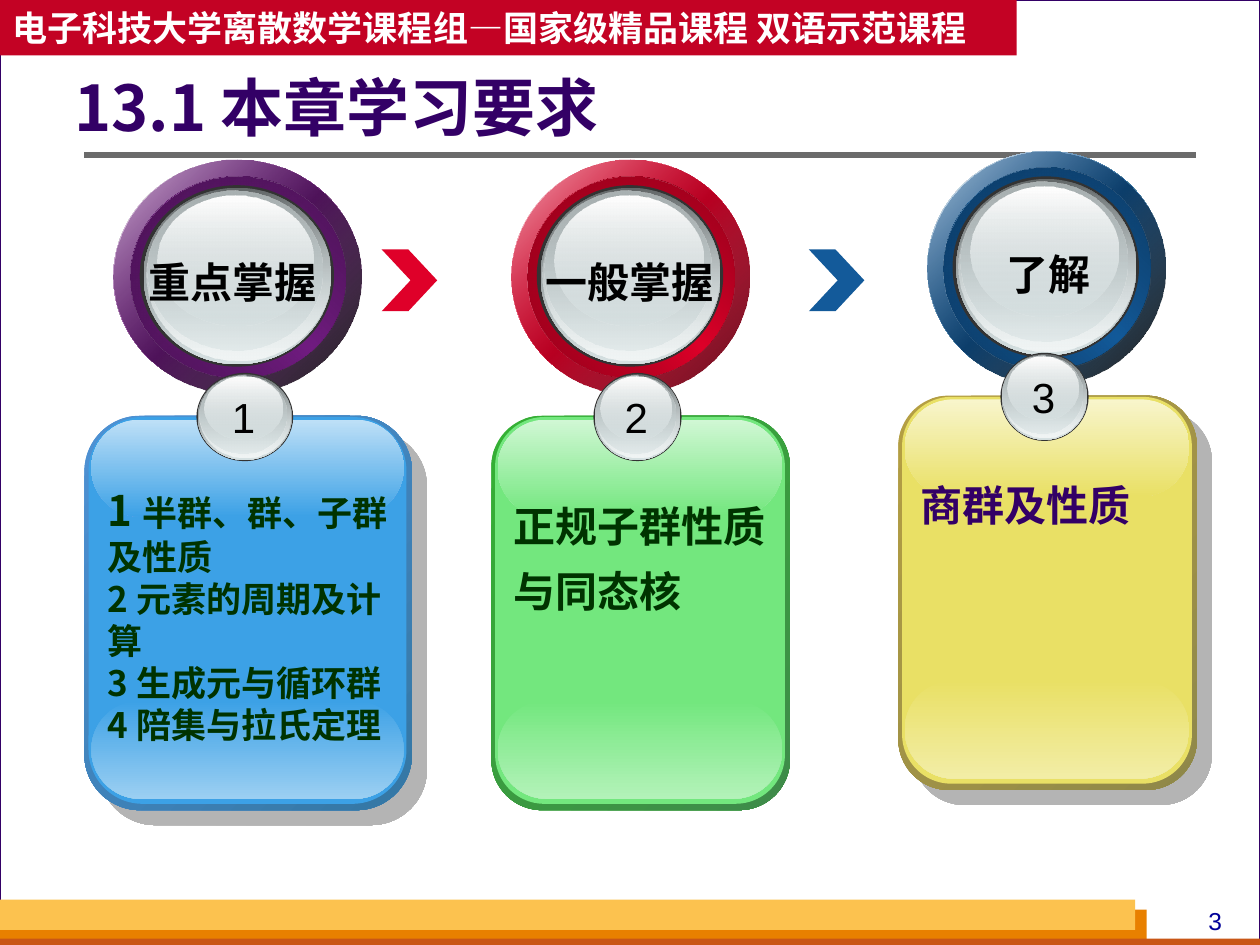
"""Build the chapter requirements slide: three glossy rings above three numbered panels."""
from lxml import etree
from pptx import Presentation
from pptx.dml.color import RGBColor
from pptx.enum.shapes import MSO_CONNECTOR, MSO_SHAPE
from pptx.enum.text import MSO_ANCHOR, MSO_AUTO_SIZE, PP_ALIGN
from pptx.oxml.ns import qn
from pptx.util import Inches, Pt

RECT, ROUND, OVAL = MSO_SHAPE.RECTANGLE, MSO_SHAPE.ROUNDED_RECTANGLE, MSO_SHAPE.OVAL
CHEVRON, STRAIGHT = MSO_SHAPE.CHEVRON, MSO_CONNECTOR.STRAIGHT
LEFT, CENTER, MIDDLE = PP_ALIGN.LEFT, PP_ALIGN.CENTER, MSO_ANCHOR.MIDDLE
NO_AUTOSIZE = MSO_AUTO_SIZE.NONE
ARIAL, NOTO = "Arial", "Noto Sans CJK SC"

WHITE, BLACK = RGBColor(0xFF, 0xFF, 0xFF), RGBColor(0, 0, 0)
BACKDROP, GRAY = RGBColor(0xD8, 0xDA, 0xDA), RGBColor(0x6B, 0x6B, 0x6B)
INDIGO, NAVY = RGBColor(0x33, 0x00, 0x66), RGBColor(0x00, 0x00, 0x99)
FOREST, CRIMSON = RGBColor(0x00, 0x33, 0x00), RGBColor(0xC3, 0x02, 0x24)
ORANGE, RUST = RGBColor(0xE8, 0x80, 0x00), RGBColor(0xC9, 0x56, 0x16)
AMBER, CHARCOAL = RGBColor(0xFC, 0xC2, 0x4F), RGBColor(0x33, 0x33, 0x33)
STEEL, SILVER = RGBColor(0x63, 0x68, 0x69), RGBColor(0xD6, 0xE1, 0xE2)
PEARL, ASH = RGBColor(0xF1, 0xF5, 0xF5), RGBColor(0xAA, 0xB2, 0xB3)
PURPLE, PURPLE_EDGE = RGBColor(0x71, 0x1C, 0x81), RGBColor(0x3D, 0x0F, 0x46)
PURPLE_DEEP, MAROON = RGBColor(0x48, 0x12, 0x52), RGBColor(0x67, 0x00, 0x13)
RED, RED_EDGE = RGBColor(0xDF, 0x00, 0x29), RGBColor(0x79, 0x00, 0x16)
RED_DEEP, BLUE = RGBColor(0x8E, 0x00, 0x1A), RGBColor(0x13, 0x5A, 0x9A)
BLUE_EDGE, BLUE_DEEP = RGBColor(0x0A, 0x31, 0x53), RGBColor(0x0C, 0x39, 0x62)
SKY, SKY_LOW = RGBColor(0x3C, 0xA1, 0xE6), RGBColor(0x9B, 0xCF, 0xF2)
SKY_TOP, SKY_RIM = RGBColor(0xBE, 0xE0, 0xF7), RGBColor(0x4E, 0x91, 0xD4)
SKY_RIM_END, GREEN_RIM_END = RGBColor(0x34, 0x77, 0xA4), RGBColor(0x3F, 0x8B, 0x4A)
GREEN, GREEN_LOW = RGBColor(0x73, 0xE7, 0x7E), RGBColor(0xB3, 0xF2, 0xB9)
GREEN_TOP, GREEN_RIM = RGBColor(0xD0, 0xF7, 0xD4), RGBColor(0x34, 0xB0, 0x34)
YELLOW, YELLOW_LOW = RGBColor(0xE9, 0xE0, 0x65), RGBColor(0xF2, 0xED, 0xA6)
YELLOW_TOP, YELLOW_RIM = RGBColor(0xF8, 0xF5, 0xCC), RGBColor(0xB5, 0x9F, 0x43)
YELLOW_RIM_END = RGBColor(0x8F, 0x88, 0x49)

GLASS = [
    CHARCOAL,
    (90, [(0, STEEL, 100), (100, SILVER, 100)]),
    (90, [(0, SILVER, 0), (100, PEARL, 100)]),
    (90, [(0, ASH, 100), (100, SILVER, 48)]),
    (90, [(0, WHITE, 100), (100, SILVER, 38)]),
]


def add_layer(shapes, kind, box, fill, adjustment=None):
    layer = shapes.add_shape(kind, *map(Inches, box))
    layer.shadow.inherit = False
    layer.line.fill.background()
    if adjustment is not None:
        layer.adjustments[0] = adjustment
    if isinstance(fill, RGBColor):
        layer.fill.solid()
        layer.fill.fore_color.rgb = fill
        return layer
    angle, stops = fill
    layer.fill.gradient()
    layer.fill.gradient_angle = 360 - angle
    stop_list = layer.element.spPr.find(qn("a:gradFill")).find(qn("a:gsLst"))
    for default_stop in list(stop_list):
        stop_list.remove(default_stop)
    for position, color, opacity in stops:
        stop = etree.SubElement(stop_list, qn("a:gs"), pos=str(position * 1000))
        tone = etree.SubElement(stop, qn("a:srgbClr"), val=str(color))
        if opacity < 100:
            etree.SubElement(tone, qn("a:alpha"), val=str(opacity * 1000))
    return layer


def write(frame, paragraphs, font, color, bold=True, align=LEFT, spacing=1.0, wrap=True):
    frame.word_wrap = wrap
    for index, runs in enumerate(paragraphs):
        paragraph = frame.add_paragraph() if index else frame.paragraphs[0]
        paragraph.alignment = align
        paragraph.line_spacing = spacing
        for text, size in runs:
            run = paragraph.add_run()
            run.text = text
            run.font.size = Pt(size)
            run.font.bold = bold
            run.font.color.rgb = color
            run.font.name = font
            etree.SubElement(run._r.get_or_add_rPr(), qn("a:ea"), typeface=NOTO)


deck = Presentation()
deck.slide_width, deck.slide_height = Inches(10), Inches(7.5)
slide = deck.slides.add_slide(deck.slide_layouts[5])
slide.background.fill.solid()
slide.background.fill.fore_color.rgb = BACKDROP
shapes = slide.shapes

page = add_layer(shapes, RECT, (0, 0, 10, 7.5), WHITE)
page.line.color.rgb = INDIGO
page.line.width = Pt(0.75)
add_layer(shapes, RECT, (0, 7.22, 9.1, 0.28), ORANGE)
add_layer(shapes, RECT, (0, 7.45, 10, 0.08), RUST)
add_layer(shapes, RECT, (0, 7.14, 9.01, 0.24), AMBER)
page_number = shapes.add_textbox(Inches(9.33), Inches(7.14), Inches(0.63), Inches(0.34))
write(page_number.text_frame, [[("3", 14)]], ARIAL, NAVY, bold=False, align=CENTER)

title_rule = shapes.add_connector(STRAIGHT, Inches(0.67), Inches(1.23), Inches(9.49), Inches(1.23))
title_rule.line.color.rgb = GRAY
title_rule.line.width = Pt(3)
etree.SubElement(title_rule.element.spPr, qn("a:effectLst"))

banner = add_layer(shapes, RECT, (0, 0, 8.07, 0.44), CRIMSON)
banner.text_frame.vertical_anchor = MIDDLE
write(banner.text_frame, [[("电子科技大学离散数学课程组—国家级精品课程 双语示范课程", 20)]], NOTO, WHITE)

title = shapes.title
shapes.element.append(title.element)
title.left, title.top, title.width, title.height = map(Inches, (0.59, 0.54, 7.78, 0.69))
title.text_frame.margin_left = 0
title.text_frame.auto_size = NO_AUTOSIZE
title.text_frame.vertical_anchor = MIDDLE
write(title.text_frame, [[("13.1 本章学习要求", 36)]], NOTO, INDIGO, spacing=0.9)

for arrow_left, arrow_color in [(3.03, RED), (6.42, BLUE)]:
    add_layer(shapes, CHEVRON, (arrow_left, 1.98, 0.44, 0.49), arrow_color, 0.52)

RING_LAYERS = [
    (0, 0, 1.89, 1.85), (0, 0, 1.89, 1.85), (0.13, 0.13, 1.64, 1.6), (0.13, 0.13, 1.64, 1.6),
    (0.2, 0.2, 1.48, 1.44), (0.23, 0.22, 1.43, 1.4), (0.25, 0.23, 1.4, 1.36),
    (0.26, 0.24, 1.33, 1.27), (0.34, 0.28, 1.18, 1.03),
]
RINGS = [
    ("重点掌握", 0.9, 1.27, 1.97, 1.08, 1.61, PURPLE, PURPLE_EDGE, PURPLE_DEEP, (100, BLACK, 90)),
    ("一般掌握", 4.06, 1.27, 1.89, 4.23, 1.56, RED, RED_EDGE, RED_DEEP, (100, MAROON, 100)),
    ("了解", 7.36, 1.2, 1.89, 7.89, 0.9, BLUE, BLUE_EDGE, BLUE_DEEP, (100, BLACK, 90)),
]
for label, left, top, width, label_left, label_width, hue, edge, deep, shade in RINGS:
    ring = shapes.add_group_shape().shapes
    stretch = width / 1.89
    ring_fills = [
        (45, [(0, WHITE, 100), (50, hue, 100), (100, WHITE, 100)]),
        (45, [(0, hue, 32), shade]),
        (315, [(0, edge, 100), (50, hue, 100), (100, edge, 100)]),
        (45, [(0, deep, 100), (100, hue, 0)]),
    ] + GLASS
    for (dx, dy, w, h), fill in zip(RING_LAYERS, ring_fills):
        add_layer(ring, OVAL, (left + dx * stretch, top + dy, w * stretch, h), fill)
    caption = ring.add_textbox(Inches(label_left), Inches(top + 0.72), Inches(label_width), Inches(0.5))
    write(caption.text_frame, [[(label, 24)]], ARIAL, BLACK)

BEAD_LAYERS = [
    (0, 0, 0.7, 0.7), (0.01, 0.01, 0.68, 0.68), (0.02, 0.01, 0.66, 0.66),
    (0.02, 0.02, 0.63, 0.62), (0.06, 0.03, 0.56, 0.5),
]
KEY_POINTS = [
    [("1 ", 24), ("半群、群、子群及性质", 20)],
    [("2 元素的周期及计算", 20)],
    [("3 生成元与循环群", 20)],
    [("4 陪集与拉氏定理", 20)],
]
PANELS = [
    ("1", 0.67, 3.3, 2.6, SKY, SKY_RIM, SKY_RIM_END, SKY_LOW, SKY_TOP, True,
     KEY_POINTS, FOREST, 1.0, 2.17),
    ("3", 7.13, 3.14, 2.37, YELLOW, YELLOW_RIM, YELLOW_RIM_END, YELLOW_LOW, YELLOW_TOP, True,
     [[("商群及性质", 24)]], INDIGO, 1.3, 0.62),
    ("2", 3.9, 3.3, 2.37, GREEN, GREEN_RIM, GREEN_RIM_END, GREEN_LOW, GREEN_TOP, False,
     [[("正规子群性质与同态核", 24)]], FOREST, 1.3, 1.14),
]
for (number, left, top, width, hue, rim, rim_end, low, high, shadowed,
     points, ink, spacing, text_height) in PANELS:
    panel = shapes.add_group_shape().shapes
    stretch = width / 2.37
    panel_layers = [
        ((0, 0, 2.37, 3.13), (45, [(0, rim, 100), (100, rim_end, 100)]), 0.17),
        ((0.03, 0.01, 2.3, 3.07), hue, 0.17),
        ((0.05, 2.26, 2.26, 0.78), (90, [(0, hue, 100), (100, low, 100)]), 0.5),
        ((0.05, 0.03, 2.26, 0.77), (90, [(0, high, 100), (100, hue, 100)]), 0.5),
    ]
    for (dx, dy, w, h), fill, rounding in panel_layers:
        add_layer(panel, ROUND, (left + dx * stretch, top + dy, w * stretch, h), fill, rounding)
    if shadowed:
        effects = panel[0].element.spPr.find(qn("a:effectLst"))
        shadow = etree.SubElement(effects, qn("a:outerShdw"), dist=str(Pt(12.1)), dir="2700000",
                                  algn="ctr", rotWithShape="0")
        shadow_color = etree.SubElement(shadow, qn("a:srgbClr"), val=str(GRAY))
        etree.SubElement(shadow_color, qn("a:alpha"), val="50000")
    for (dx, dy, w, h), fill in zip(BEAD_LAYERS, GLASS):
        add_layer(panel, OVAL, (left + (0.81 + dx) * stretch, top - 0.34 + dy, w * stretch, h), fill)
    digit = panel.add_textbox(Inches(left + 1.15 * stretch - 0.19), Inches(top - 0.24),
                              Inches(0.38), Inches(0.5))
    write(digit.text_frame, [[(number, 24)]], ARIAL, BLACK, bold=False, align=CENTER, wrap=False)
    body = panel.add_textbox(Inches(left + 0.08 * stretch), Inches(top + 0.5),
                             Inches(2.25 * stretch), Inches(text_height))
    write(body.text_frame, points, NOTO, ink, spacing=spacing)

deck.save("out.pptx")
